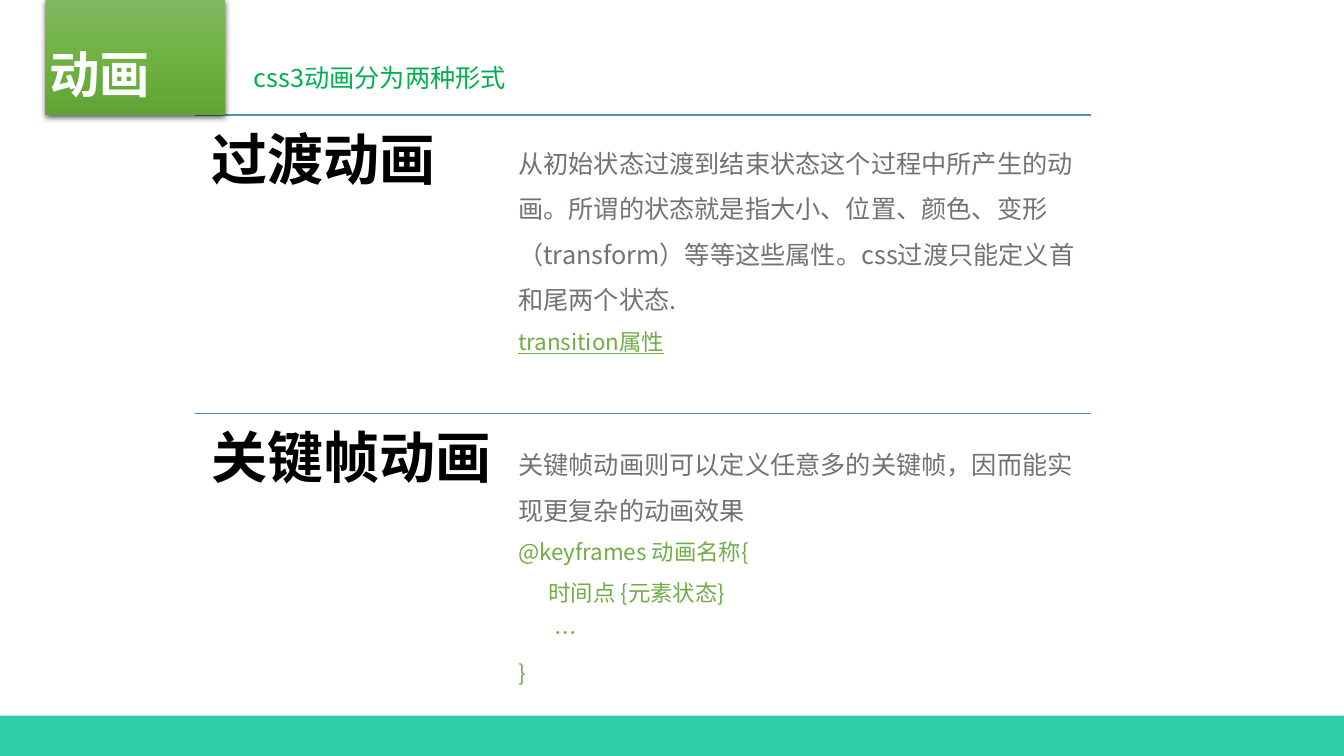
from copy import deepcopy
from dataclasses import dataclass

from lxml import etree
from pptx import Presentation
from pptx.dml.color import RGBColor
from pptx.enum.shapes import MSO_CONNECTOR, MSO_SHAPE
from pptx.enum.text import MSO_ANCHOR as Anchor, MSO_AUTO_SIZE as AutoSize, PP_ALIGN as Align
from pptx.oxml.ns import qn
from pptx.util import Inches, Pt

# Content
TITLE = "动画"
SUBTITLE = "css3动画分为两种形式"
# Each section: heading, explanation, code lines as (text, indent in inches, underlined)
SECTIONS = [
    ("过渡动画",
     "从初始状态过渡到结束状态这个过程中所产生的动画。所谓的状态就是指大小、位置、颜色、"
     "变形（transform）等等这些属性。css过渡只能定义首和尾两个状态.",
     [("transition属性", 0, True)]),
    ("关键帧动画",
     "关键帧动画则可以定义任意多的关键帧，因而能实现更复杂的动画效果",
     [("@keyframes 动画名称{", 0, False),
      ("时间点 {元素状态}", 0.3, False),
      ("…", 0.36, False),
      ("}", 0, False)]),
]


@dataclass(frozen=True)
class Theme:
    font: str = "Noto Sans CJK SC"
    heading_font: str = "Calibri"
    title_size: int = 36
    heading_size: int = 40
    text_size: int = 18
    code_size: int = 16
    title: str = "FFFFFF"
    subtitle: str = "00B050"
    heading: str = "000000"
    text: str = "767171"
    code: str = "70AD47"
    rule: str = "538DC1"
    footer: str = "31CDA8"
    tab: tuple = ((0, "81B861"), (0.5, "6FB242"), (1, "62A336"))


THEME = Theme()

# Layout in inches
SECTION_LEFT, SECTION_TOP = 1.93, 1.14
SECTION_WIDTH, SECTION_HEIGHT = 8.89, 2.96
DETAIL_LEFT, DETAIL_WIDTH = 5.04, 5.93
DETAIL_TOPS, DETAIL_HEIGHTS = (1.27, 4.26), (2.37, 2.63)


def rgb(color):
    return RGBColor.from_string(color)


def place(shape, left, top, width, height):
    shape.left, shape.top = Inches(left), Inches(top)
    shape.width, shape.height = Inches(width), Inches(height)


def prepare(frame, anchor=Anchor.TOP, inset=None, wrap=True):
    frame.word_wrap = wrap
    frame.auto_size = AutoSize.NONE
    frame.vertical_anchor = anchor
    if inset is not None:
        frame.margin_left = frame.margin_right = Inches(inset)
        frame.margin_top = frame.margin_bottom = Inches(inset)


def write(paragraph, text, size, color, font=THEME.font, bold=False,
          underline=None, spacing=1.0, indent=0):
    paragraph.text = text
    paragraph.alignment = Align.LEFT
    paragraph.line_spacing = spacing
    paragraph.space_before = Pt(0)
    style = paragraph.font
    style.size, style.bold, style.underline = Pt(size), bold, underline
    style.name = font
    style.color.rgb = rgb(color)
    # East Asian font, plain left indent and no bullet
    for run in paragraph.runs:
        run_props = run.font
        run_props.name = font
        latin = run.font.fill and run._r.rPr.find(qn("a:latin"))
        east_asian = etree.Element(qn("a:ea"), typeface=THEME.font)
        latin.addnext(east_asian)
    props = paragraph._p.get_or_add_pPr()
    props.set("marL", str(Inches(indent)))
    props.set("indent", "0")
    props.find(qn("a:defRPr")).addprevious(etree.Element(qn("a:buNone")))


def add_block(slide, shape_type, left, top, width, height):
    block = slide.shapes.add_shape(
        shape_type, Inches(left), Inches(top), Inches(width), Inches(height))
    block.shadow.inherit = False
    block.line.fill.background()
    return block


def add_footer(slide):
    footer = add_block(slide, MSO_SHAPE.RECTANGLE, 0, 7.1, 13.33, 0.4)
    footer.fill.solid()
    footer.fill.fore_color.rgb = rgb(THEME.footer)


def add_rule(slide, top):
    rule = slide.shapes.add_connector(
        MSO_CONNECTOR.STRAIGHT, Inches(SECTION_LEFT), Inches(top),
        Inches(SECTION_LEFT + SECTION_WIDTH), Inches(top))
    rule.line.color.rgb = rgb(THEME.rule)
    rule.line.width = Pt(1)
    etree.SubElement(rule.element.spPr, qn("a:effectLst"))


def add_title_tab(slide):
    tab = add_block(slide, MSO_SHAPE.RECTANGLE, 0.45, 0, 1.78, 1.14)
    # Three-stop gradient, top to bottom
    tab.fill.gradient()
    tab.fill.gradient_angle = 270
    props = tab.element.spPr
    first_stop = props.find(".//" + qn("a:gs"))
    first_stop.addnext(deepcopy(first_stop))
    for stop, (position, color) in zip(tab.fill.gradient_stops, THEME.tab):
        stop.position = position
        stop.color.rgb = rgb(color)
    # Soft shadow below
    shadow = etree.SubElement(
        props.find(qn("a:effectLst")), qn("a:outerShdw"), blurRad=str(Pt(4.5)),
        dist=str(Pt(1.5)), dir="5400000", algn="ctr", rotWithShape="0")
    black = etree.SubElement(shadow, qn("a:srgbClr"), val="000000")
    etree.SubElement(black, qn("a:alpha"), val="63000")


def add_title(slide):
    title = slide.shapes.title
    place(title, 0.39, 0.38, 1.22, 0.71)
    prepare(title.text_frame, wrap=False)
    write(title.text_frame.paragraphs[0], TITLE, THEME.title_size, THEME.title, bold=True)
    # Bring the title in front of its tab
    title.element.getparent().append(title.element)


def add_subtitle(slide):
    subtitle = slide.shapes.add_textbox(Inches(2.42), Inches(0.57), Inches(4.17), Inches(0.4))
    prepare(subtitle.text_frame)
    write(subtitle.text_frame.paragraphs[0], SUBTITLE, THEME.text_size, THEME.subtitle)


def fill_section(slide, index, heading, explanation, code_lines):
    top = SECTION_TOP + index * SECTION_HEIGHT
    add_rule(slide, top)
    # The comparison layout holds heading and detail in pairs
    heading_box = slide.placeholders[2 * index + 1]
    place(heading_box, SECTION_LEFT, top, SECTION_WIDTH, SECTION_HEIGHT)
    prepare(heading_box.text_frame, inset=0.17)
    write(heading_box.text_frame.paragraphs[0], heading, THEME.heading_size,
          THEME.heading, THEME.heading_font, bold=True, spacing=0.9)

    detail_box = slide.placeholders[2 * index + 2]
    place(detail_box, DETAIL_LEFT, DETAIL_TOPS[index], DETAIL_WIDTH, DETAIL_HEIGHTS[index])
    detail = detail_box.text_frame
    prepare(detail)
    write(detail.paragraphs[0], explanation, THEME.text_size, THEME.text, spacing=1.5)
    for text, indent, underline in code_lines:
        write(detail.add_paragraph(), text, THEME.code_size, THEME.code,
              underline=underline, spacing=1.5, indent=indent)


def main():
    deck = Presentation()
    deck.slide_width, deck.slide_height = Inches(13.33), Inches(7.5)
    slide = deck.slides.add_slide(deck.slide_layouts.get_by_name("Comparison"))
    add_footer(slide)
    for index, section in enumerate(SECTIONS):
        fill_section(slide, index, *section)
    add_title_tab(slide)
    add_subtitle(slide)
    add_title(slide)
    deck.save("out.pptx")


if __name__ == "__main__":
    main()
